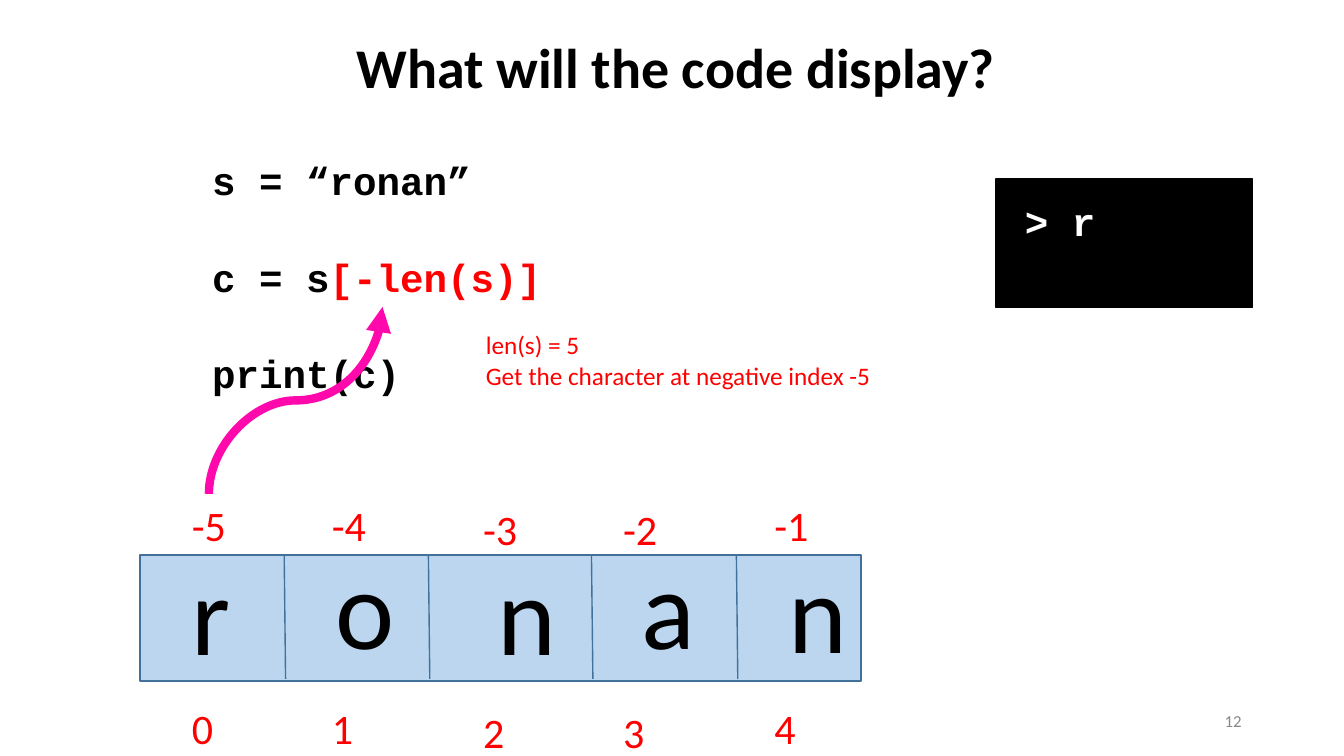
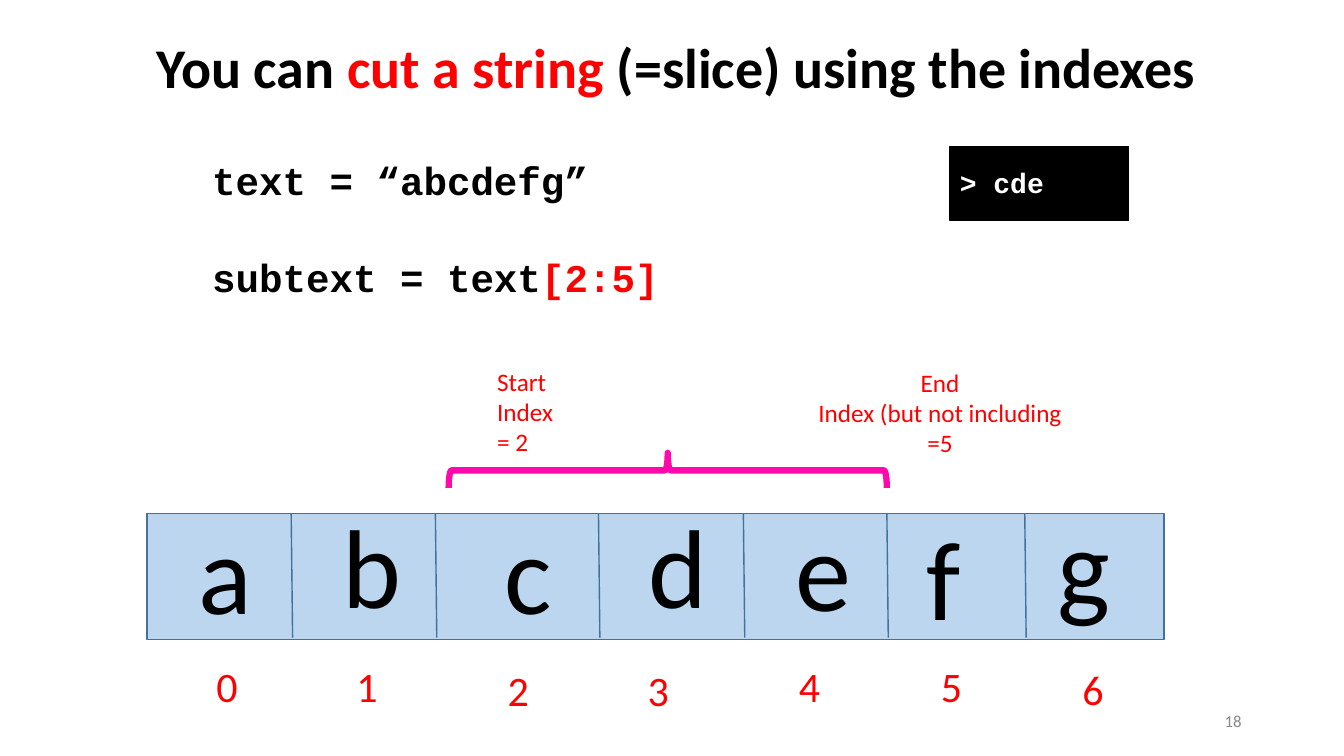
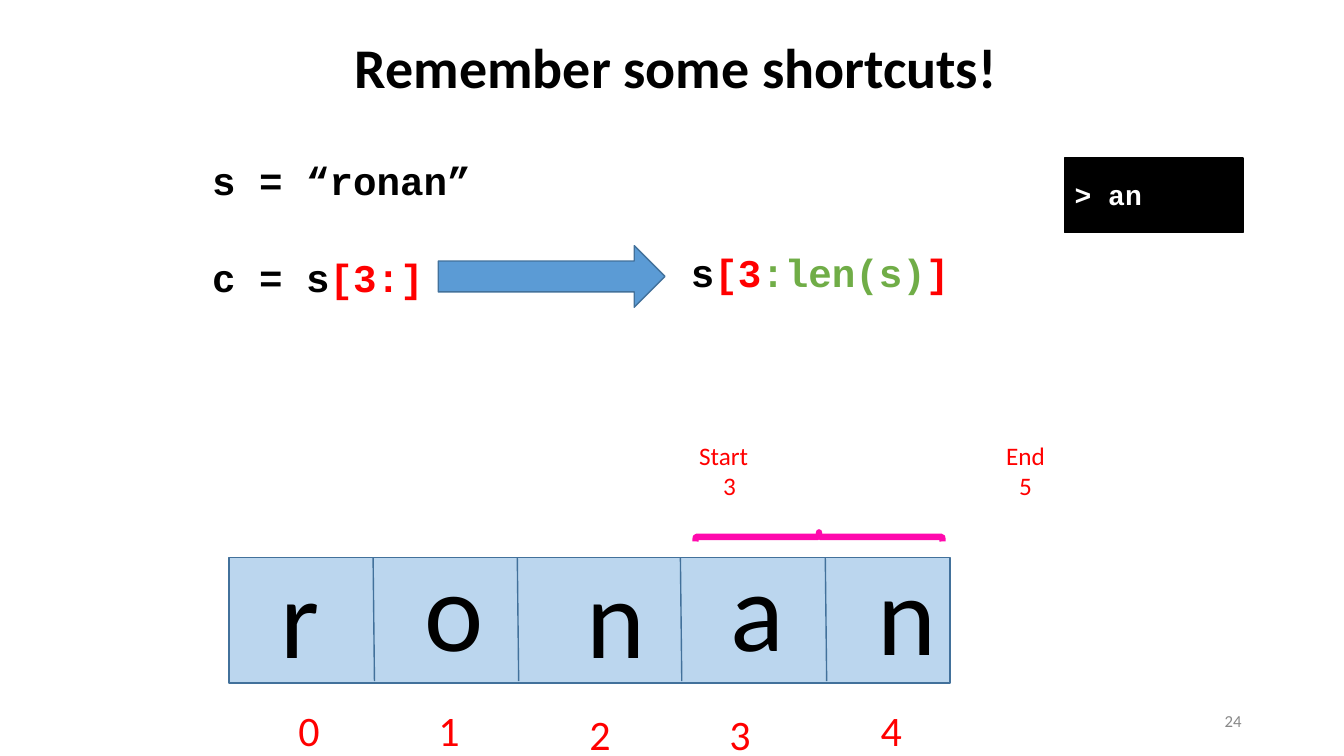
from pptx import Presentation
from pptx.dml.color import RGBColor
from pptx.enum.shapes import MSO_CONNECTOR, MSO_SHAPE
from pptx.enum.text import MSO_ANCHOR, PP_ALIGN
from pptx.oxml.ns import qn
from pptx.util import Pt
from lxml.etree import SubElement

BLACK, WHITE, GREY = "000000", "FFFFFF", "888888"
RED, PINK, GREEN = "FF0000", "FF09AD", "70AD47"
PALE, BLUE, EDGE = "BBD6EE", "5B9BD5", "42719B"
SANS, MONO = "Calibri", "Courier New"

# Columns of a word bar, measured from the left and top of the bar.
LETTER_X = [30, 132.5, 248.5, 351, 456, 549.5, 643]
LETTER_Y = [-11.5, -16, -11.5, -16, -13.5, -7, -16.5]
RULE_X = [103, 206, 322.5, 426, 528.5, 627]
INDEX_X = [0, 100, 208, 308, 416, 517.5, 618.5]
INDEX_Y = [0, 0, 3, 3, 0, 0, 2]


def rgb(code):
    return RGBColor.from_string(code)


def points(box):
    return [Pt(n) for n in box]


def text(slide, box, lines, size, color=RED, font=SANS, bold=False,
         align=PP_ALIGN.LEFT, gap=0, anchor=MSO_ANCHOR.TOP):
    """Each line is a string or a list of (words, colour) pairs."""
    frame = slide.shapes.add_textbox(*points(box)).text_frame
    frame.word_wrap = True
    frame.vertical_anchor = anchor
    for i, line in enumerate(lines):
        para = frame.add_paragraph() if i else frame.paragraphs[0]
        para.alignment = align
        if i and gap:
            para.space_before = Pt(gap)
        parts = [(line, color)] if isinstance(line, str) else line
        for words, hue in parts:
            run = para.add_run()
            run.text = words
            run.font.name, run.font.size, run.font.bold = font, Pt(size), bold
            run.font.color.rgb = rgb(hue)


def shape(slide, kind, box, fill, edge, weight=1):
    item = slide.shapes.add_shape(kind, *points(box))
    item.shadow.inherit = False
    if fill:
        item.fill.solid()
        item.fill.fore_color.rgb = rgb(fill)
    else:
        item.fill.background()
    item.line.color.rgb = rgb(edge)
    item.line.width = Pt(weight)
    return item


def link(slide, kind, ends, color, weight):
    item = slide.shapes.add_connector(kind, *points(ends))
    item.line.color.rgb = rgb(color)
    item.line.width = Pt(weight)
    SubElement(item._element.spPr, qn("a:effectLst"))
    return item


def swoop(slide, ends):
    """Curved arrow, turned so that it leaves and arrives upright."""
    item = link(slide, MSO_CONNECTOR.CURVE, ends, PINK, 6)
    props = item._element.spPr
    props.find(qn("a:xfrm")).set("rot", str(270 * 60000))
    SubElement(props.find(qn("a:ln")), qn("a:tailEnd"), type="triangle")


def brace(slide, mid_x, mid_y, span, depth):
    """Brace lying flat with its point up, centred on the given spot."""
    box = (mid_x - depth / 2, mid_y - span / 2, depth, span)
    item = shape(slide, MSO_SHAPE.LEFT_BRACE, box, None, PINK, 4.5)
    item.adjustments[0] = 0.083
    item.rotation = 270
    item._element.spPr.find(qn("a:xfrm")).set("flipH", "1")


def code(slide, box, lines):
    text(slide, box, lines, 28, BLACK, MONO, True, gap=35.5)


def screen(slide, box, line, size=20, inset=(0, 10)):
    """Black console with one line of output."""
    left, top, width, height = box
    shape(slide, MSO_SHAPE.RECTANGLE, box, BLACK, BLACK)
    spot = (left + inset[0], top + inset[1], width - inset[0], size + 12)
    text(slide, spot, [line], size, WHITE, MONO, True)


def indexes(slide, left, top, labels, width):
    for label, dx, dy in zip(labels, INDEX_X, INDEX_Y):
        text(slide, (left + dx, top + dy, width, 44), [label], 30)


def word(slide, left, top, letters, width, shift):
    """Bar of letters with cell rules, and the indexes below."""
    shape(slide, MSO_SHAPE.RECTANGLE, (left, top, width, 90), PALE, EDGE)
    for dx in RULE_X[:len(letters) - 1]:
        x = left + dx
        link(slide, MSO_CONNECTOR.STRAIGHT, (x, top, x + 1, top + 88.5), EDGE, 1)
    for letter, dx, dy in zip(letters, LETTER_X, LETTER_Y):
        text(slide, (left + dx, top + dy, 56, 104.5), [letter], 80, BLACK)
    labels = [str(i) for i in range(len(letters))]
    indexes(slide, left + shift, top + 101.5, labels, 30)


def page(deck, title, width, number):
    slide = deck.slides.add_slide(deck.slide_layouts[6])
    text(slide, (482.75 - width / 2, 20, width, 55.5), [title], 40, BLACK,
         bold=True, align=PP_ALIGN.CENTER)
    text(slide, (678, 500.5, 216, 28.5), [number], 12, GREY,
         align=PP_ALIGN.RIGHT, anchor=MSO_ANCHOR.MIDDLE)
    return slide


def negative(deck):
    slide = page(deck, "What will the code display?", 552, "12")
    code(slide, (144.5, 108, 252, 177),
         ["s = “ronan”", [("c = s", BLACK), ("[-len(s)]", RED)], "print(c)"])
    swoop(slide, (144.5, 224, 278, 348))
    text(slide, (340, 232, 296, 51),
         ["len(s) = 5", "Get the character at negative index -5"], 18)
    screen(slide, (711.5, 128, 183, 91.5), "> r", 28, (13.5, 9.5))
    word(slide, 100, 396.5, "ronan", 515, 30)
    indexes(slide, 130, 353, [str(i) for i in range(-5, 0)], 42)


def cut(deck):
    title = [("You can ", BLACK), ("cut a string ", RED),
             ("(=slice) using the indexes", BLACK)]
    slide = page(deck, title, 812, "18")
    code(slide, (144.5, 108, 336, 143),
         ["text = “abcdefg”", [("subtext = text", BLACK), ("[2:5]", RED)]])
    word(slide, 105, 367, "abcdefg", 726.5, 42.5)
    text(slide, (348, 258, 60, 72.5), ["Start", "Index", "= 2"], 18)
    text(slide, (575.5, 258.5, 192, 72.5),
         ["End", "Index (but not including", "=5"], 18, align=PP_ALIGN.CENTER)
    brace(slide, 477, 336, 313, 25)
    screen(slide, (678.5, 104.5, 127.5, 53), "> cde")


def shortcut(deck):
    slide = page(deck, "Remember some shortcuts!", 508, "24")
    code(slide, (144.5, 108, 202, 109),
         ["s = “ronan”", [("c = s", BLACK), ("[3:]", RED)]])
    shape(slide, MSO_SHAPE.RIGHT_ARROW, (313, 175.5, 162, 44), BLUE, EDGE)
    code(slide, (486.5, 173.5, 202, 41),
         [[("s", BLACK), ("[3", RED), (":len(s)", GREEN), ("]", RED)]])
    screen(slide, (760.5, 113, 127.5, 53), "> an")
    word(slide, 163.5, 398, "ronan", 515, 42.5)
    text(slide, (490, 311, 58, 51), ["Start ", " 3"], 18, align=PP_ALIGN.CENTER)
    text(slide, (709.5, 311, 46, 51), ["End", "5"], 18, align=PP_ALIGN.CENTER)
    brace(slide, 585, 383.5, 176.5, 6.5)


def main():
    deck = Presentation()
    deck.slide_width, deck.slide_height = Pt(960), Pt(540)
    negative(deck)
    cut(deck)
    shortcut(deck)
    deck.save("out.pptx")


if __name__ == "__main__":
    main()
